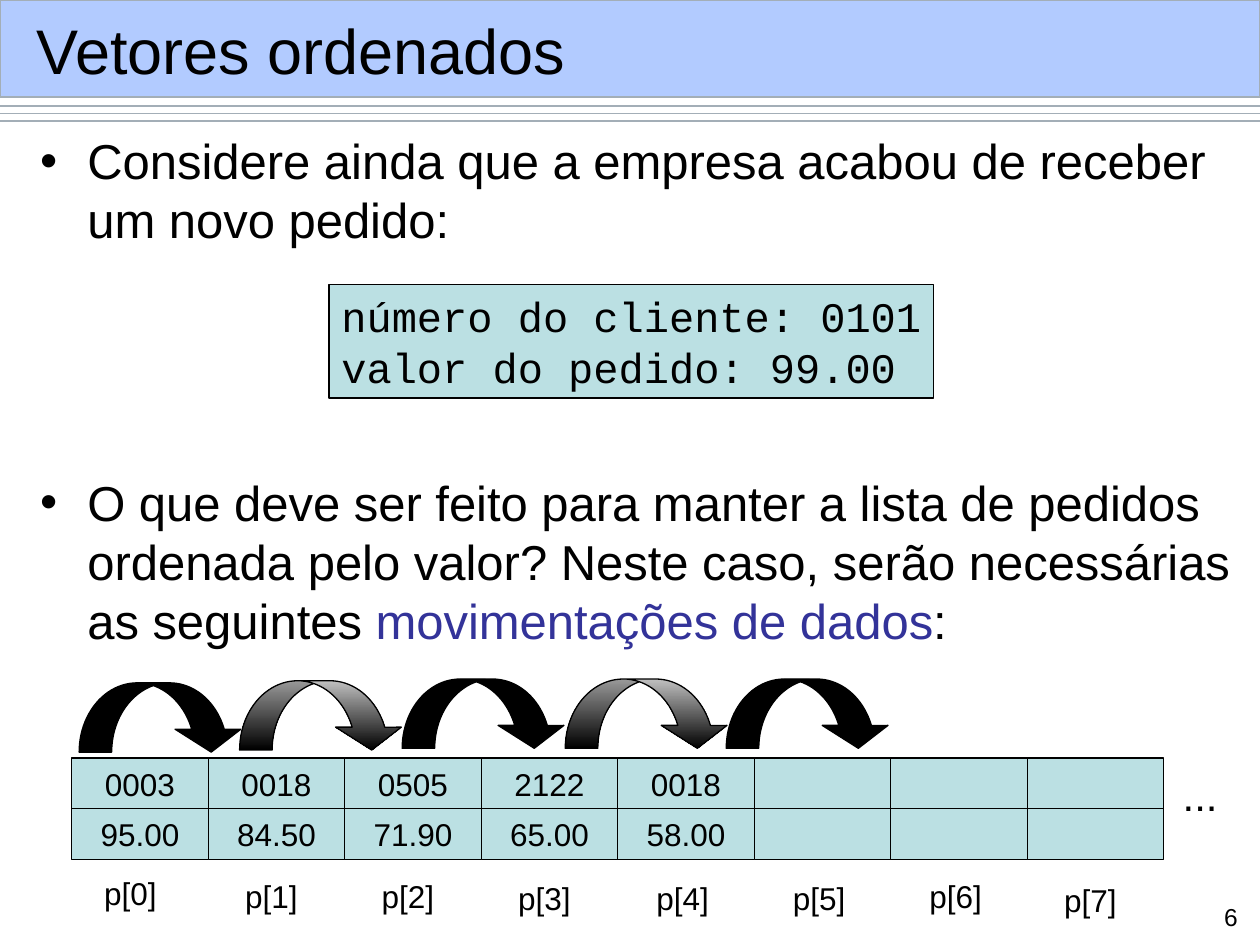
from lxml import etree
from pptx import Presentation
from pptx.dml.color import RGBColor
from pptx.enum.shapes import MSO_CONNECTOR, MSO_SHAPE
from pptx.enum.text import MSO_ANCHOR, MSO_AUTO_SIZE, PP_ALIGN
from pptx.oxml.ns import qn
from pptx.util import Pt

BLACK = RGBColor(0, 0, 0)
BAND = RGBColor(0x66, 0x99, 0xFF)
RULE = RGBColor(0xA3, 0xAE, 0xB7)
TEAL = RGBColor(0xBB, 0xE0, 0xE3)
NAVY = RGBColor(0x33, 0x33, 0x99)
SILVER = RGBColor(0xC0, 0xC0, 0xC0)
RECT, BEND = MSO_SHAPE.RECTANGLE, MSO_SHAPE.CURVED_DOWN_ARROW
LINE = MSO_CONNECTOR.STRAIGHT
LEFT, MID, RIGHT = PP_ALIGN.LEFT, PP_ALIGN.CENTER, PP_ALIGN.RIGHT
TOP, CENTER = MSO_ANCHOR.TOP, MSO_ANCHOR.MIDDLE
FIXED, GROW = MSO_AUTO_SIZE.NONE, MSO_AUTO_SIZE.SHAPE_TO_FIT_TEXT
SANS, MONO = "Arial", "Courier New"

ORDERS = [("0003", "95.00"), ("0018", "84.50"), ("0505", "71.90"),
          ("2122", "65.00"), ("0018", "58.00")] + [("", "")] * 3
TAGS = [(52.5, 496), (133, 497.7), (211, 497.7), (289, 498.7),
        (368, 498.7), (446, 498.7), (524, 497.7), (601, 499.7)]
ARROWS = [(45.2, 390.2), (136.9, 389), (229.8, 388), (323, 388), (415, 388)]


def give(item, vals):
    for key, val in vals.items():
        setattr(item, key, val)


def place(item, box):
    give(item, dict(zip(("left", "top", "width", "height"), map(Pt, box))))


def write(item, lines, size, font=SANS, align=LEFT, anchor=TOP, wrap=True):
    frame = item.text_frame
    give(frame, {"word_wrap": wrap, "vertical_anchor": anchor,
                 "auto_size": FIXED if wrap else GROW,
                 "margin_left": Pt(7.2), "margin_right": Pt(7.2),
                 "margin_top": Pt(3.6), "margin_bottom": Pt(3.6)})
    for i, runs in enumerate(lines):
        para = frame.add_paragraph() if i else frame.paragraphs[0]
        para.alignment = align
        for text, color in runs:
            run = para.add_run()
            run.text = text
            give(run.font, {"size": Pt(size), "name": font})
            run.font.color.rgb = color
    return frame


def outline(item, color):
    item.line.color.rgb = color
    item.line.width = Pt(0.75)


def panel(shapes, box, fill, line, kind=RECT):
    item = shapes.add_shape(kind, *map(Pt, box))
    item.shadow.inherit = False
    item.fill.solid()
    item.fill.fore_color.rgb = fill
    outline(item, line)
    return item


def label(shapes, box, text, size, **opts):
    item = shapes.add_textbox(*map(Pt, box))
    return write(item, [[(text, BLACK)]], size, **opts)


def header(slide, box):
    x, y, w, h = box
    shapes = slide.shapes
    for step in (5, 9.3, 13.6):
        rule = shapes.add_connector(
            LINE, Pt(x), Pt(y + h + step), Pt(x + w), Pt(y + h + step))
        outline(rule, RULE)
        etree.SubElement(rule.element.spPr, qn("a:effectLst"))
    band = panel(shapes, box, BAND, RULE)
    tint = band.element.spPr.find(qn("a:solidFill"))[0]
    etree.SubElement(tint, qn("a:alpha"), val="50000")
    title = shapes.title
    place(title, (x + 13.7, y + 7, 694, 42.5))
    write(title, [[("Vetores ordenados", BLACK)]], 36, anchor=CENTER)
    title.element.getparent().append(title.element)


def body(shapes, box):
    lines = [
        [("Considere ainda que a empresa acabou de receber um novo pedido:",
          BLACK)],
        [("O que deve ser feito para manter a lista de pedidos ordenada pelo "
          "valor? Neste caso, serão necessárias as seguintes ", BLACK),
         ("movimentações de dados", NAVY), (":", BLACK)]]
    frame = write(shapes.add_textbox(*map(Pt, box)), lines, 28)
    for para, gap in zip(frame.paragraphs, (7, 128)):
        para.space_before = Pt(gap)
        props = para._p.get_or_add_pPr()
        for key, val in {"marL": Pt(27), "indent": Pt(-27)}.items():
            props.set(key, str(val))
        etree.SubElement(props, qn("a:buFont"), typeface=SANS)
        etree.SubElement(props, qn("a:buChar"), char="•")


def order(shapes, box):
    item = panel(shapes, box, TEAL, BLACK)
    lines = [[("número do cliente: 0101", BLACK)],
             [("valor do pedido: 99.00", BLACK)]]
    write(item, lines, 24, MONO, wrap=False)


def vector(shapes, box):
    x, y, w, h = box
    wide, high = w / len(ORDERS), h / 2
    for col, pair in enumerate(ORDERS):
        for row, text in enumerate(pair):
            cell = panel(shapes, (x + col * wide, y + row * high, wide, high),
                         TEAL, BLACK)
            if text:
                write(cell, [[(text, BLACK)]], 18, align=MID, anchor=CENTER)
    label(shapes, (x + w + 3.7, y + 3, 34.5, 36), "...", 24, wrap=False)
    for i, (left, top) in enumerate(TAGS):
        label(shapes, (left, top, 44.5, 29), f"p[{i}]", 18, wrap=False)


def arrow(shapes, box, shaded):
    item = panel(shapes, box, BLACK, BLACK, BEND)
    for i, val in enumerate((0.47, 0.95, 0.33)):
        item.adjustments[i] = val
    if shaded:
        item.fill.gradient()
        item.fill.gradient_angle = 270
        stops = item.fill.gradient_stops
        for stop, tone, pos in zip(stops, (SILVER, BLACK), (0, 1)):
            stop.color.rgb = tone
            stop.position = pos


def main():
    deck = Presentation()
    give(deck, {"slide_width": Pt(720), "slide_height": Pt(540)})
    slide = deck.slides.add_slide(deck.slide_layouts[5])
    shapes = slide.shapes
    header(slide, (0, 0, 720, 55.5))
    body(shapes, (15.8, 71.3, 697, 449))
    vector(shapes, (41, 433.2, 624, 58))
    order(shapes, (188, 162.7, 345.6, 64.8))
    for i, (left, top) in enumerate(ARROWS):
        arrow(shapes, (left, top, 94.3, 39.6), i % 2 == 1)
    label(shapes, (682, 512, 32.4, 22.3), "6", 14, align=RIGHT)
    deck.save("out.pptx")


if __name__ == "__main__":
    main()
